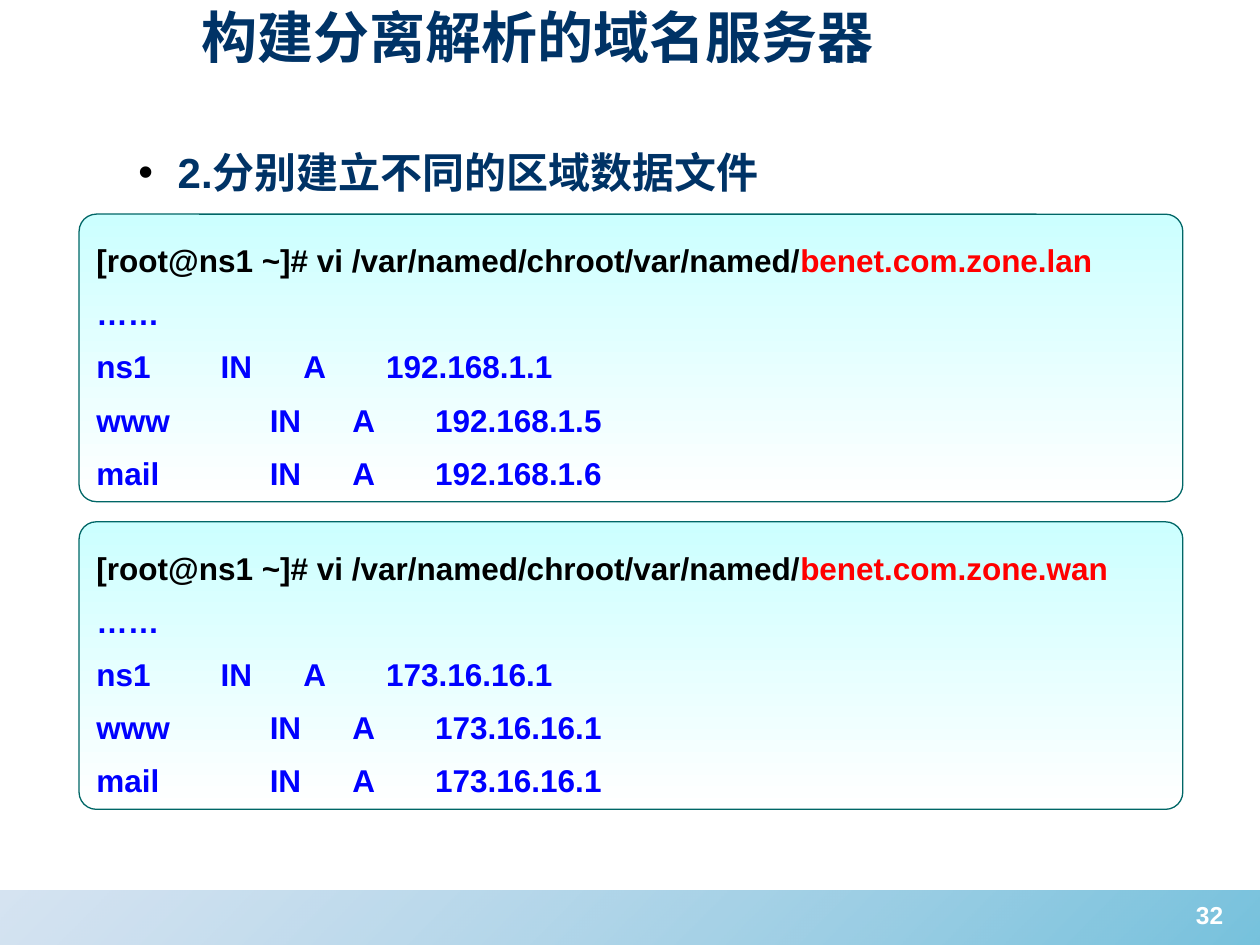
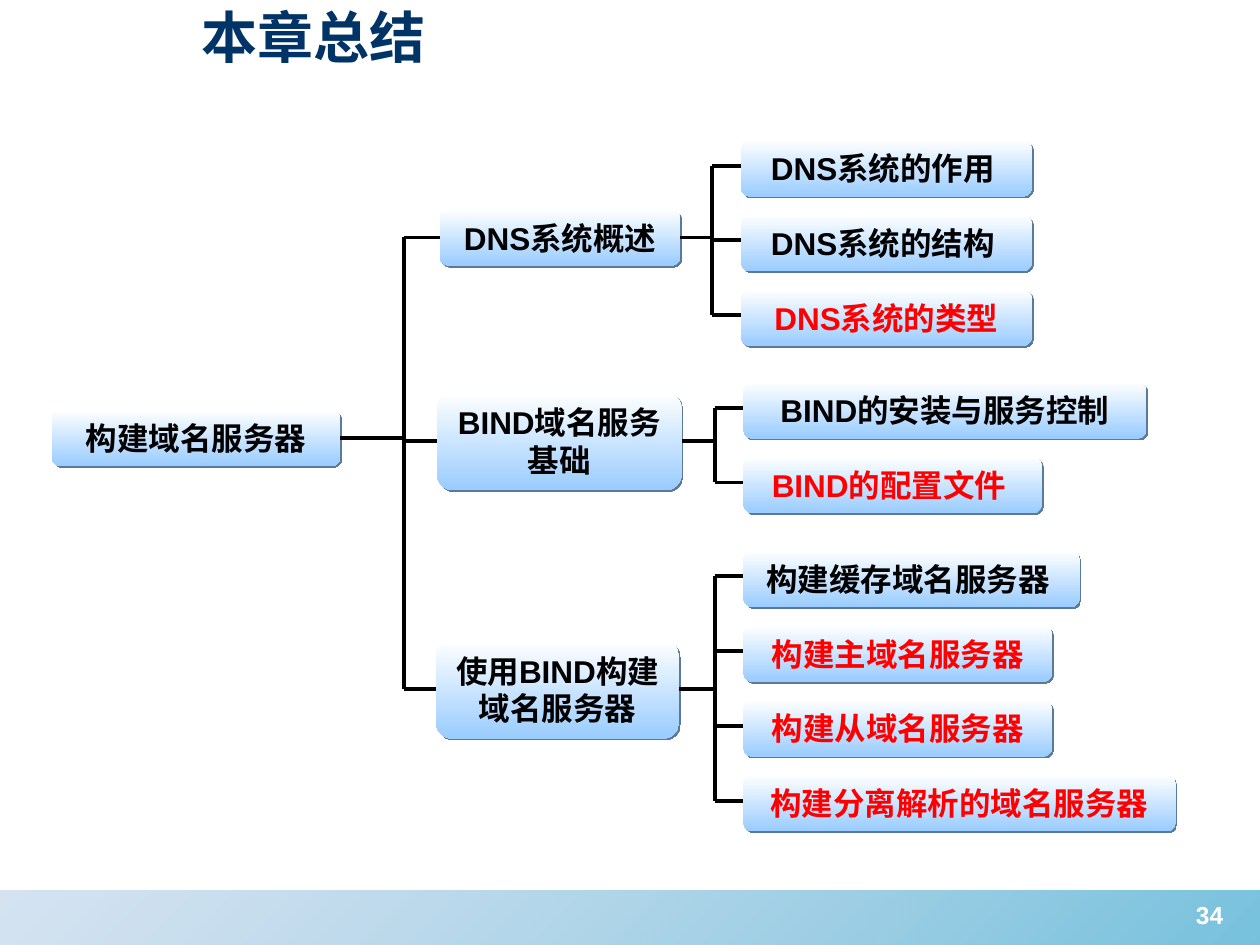
"""Build two slides on split-view DNS: the zone files and the chapter summary."""
from dataclasses import dataclass

from lxml.etree import SubElement
from pptx import Presentation
from pptx.dml.color import RGBColor
from pptx.enum.shapes import MSO_CONNECTOR, MSO_SHAPE
from pptx.enum.text import MSO_ANCHOR, MSO_AUTO_SIZE, PP_ALIGN
from pptx.oxml.ns import qn
from pptx.util import Pt


@dataclass(frozen=True)
class Theme:
    font: str = "Arial"
    navy: str = "003366"
    black: str = "000000"
    white: str = "FFFFFF"
    red: str = "FF0000"
    blue: str = "0000FF"
    panel_top: str = "CCFFFF"
    panel_line: str = "006666"
    node_bottom: str = "99CCFF"
    node_shadow: str = "5B7998"
    text_shadow: str = "C0C0C0"
    band_right: str = "1C99C6"
    band_left: str = "88B0D8"
    title_size: int = 32
    heading_size: int = 24
    body_size: int = 18
    number_size: int = 14


THEME = Theme()

ZONE_TITLE = "构建分离解析的域名服务器"
ZONE_HEADING = "2.分别建立不同的区域数据文件"
ZONE_COMMAND = "[root@ns1 ~]# vi /var/named/chroot/var/named/"
ZONE_HOSTS = ["ns1        ", "www     \t", "mail      \t"]
ZONE_FILES = [
    ("benet.com.zone.lan", ["192.168.1.1", "192.168.1.5", "192.168.1.6"]),
    ("benet.com.zone.wan", ["173.16.16.1", "173.16.16.1", "173.16.16.1"]),
]

SUMMARY_TITLE = "本章总结"
ROOT = ("构建域名服务器", (29.5, 234, 165, 32.4))
BRANCHES = [
    {"label": "DNS系统概述", "box": (251.3, 119.5, 137.5, 32.4), "corner": (423.4, 79.9),
     "leaves": [("DNS系统的作用 ", 166.3, THEME.black),
                ("DNS系统的结构 ", 166.3, THEME.black),
                ("DNS系统的类型", 166.3, THEME.red)]},
    {"label": "BIND域名服务基础", "box": (249.8, 224, 139.7, 56.2), "corner": (424.8, 218.2),
     "leaves": [("BIND的安装与服务控制", 230.4, THEME.black),
                ("BIND的配置文件 ", 170.6, THEME.red)]},
    {"label": "使用BIND构建域名服务器", "box": (249.1, 365.8, 139, 56.2), "corner": (424.8, 314.6),
     "leaves": [("构建缓存域名服务器 ", 192.2, THEME.black),
                ("构建主域名服务器", 176.4, THEME.red),
                ("构建从域名服务器", 176.4, THEME.red),
                ("构建分离解析的域名服务器", 247, THEME.red)]},
]
LEAF_HEIGHT = 32.4
LEAF_PITCH = 42.7
LEAF_JOINT = 14.8
SPINE_GAP = 16.4
TRUNK_X = 231


def rgb(color):
    """Turn a hex string into a colour."""
    return RGBColor.from_string(color)


def points(*lengths):
    """Turn numbers into point lengths."""
    return [Pt(length) for length in lengths]


def style(span, size, color):
    """Format one run in the bold theme font."""
    span.font.name = THEME.font
    span.font.size = Pt(size)
    span.font.bold = True
    span.font.color.rgb = rgb(color)


def add_span(para, text, size, color):
    """Append a formatted run."""
    span = para.add_run()
    span.text = text
    style(span, size, color)
    return span


def hang(para, margin, indent):
    """Give a paragraph a hanging indent and return its properties."""
    properties = para._p.get_or_add_pPr()
    properties.set("marL", str(Pt(margin)))
    properties.set("indent", str(Pt(indent)))
    return properties


def add_shadow(effects, color, distance):
    """Add a hard shadow falling to the lower right."""
    shadow = SubElement(effects, qn("a:outerShdw"), blurRad="0", dist=str(Pt(distance)),
                        dir="2700000", algn="ctr", rotWithShape="0")
    SubElement(shadow, qn("a:srgbClr"), val=color)


def add_filled(page, kind, box, colors, angle):
    """Add a borderless preset shape with a two-colour gradient."""
    shape = page.shapes.add_shape(kind, *points(*box))
    shape.shadow.inherit = False
    shape.line.fill.background()
    shape.fill.gradient()
    shape.fill.gradient_angle = angle
    for stop, color in zip(shape.fill.gradient_stops, colors):
        stop.color.rgb = rgb(color)
    return shape


def add_band(page, layout):
    """Build the footer band and hand it to the layout."""
    band = add_filled(page, MSO_SHAPE.RECTANGLE, (0, 509, 720, 31),
                      (THEME.band_right, THEME.band_left), 135)
    for color, alpha in zip(band._element.spPr.iter(qn("a:srgbClr")), (60000, 35000)):
        SubElement(color, qn("a:alpha"), val=str(alpha))
    layout.shapes._spTree.insert(2, band._element)


def add_page(deck, layout, title, number):
    """Add a slide with its title and page number."""
    page = deck.slides.add_slide(layout)
    heading = page.shapes.title
    heading.left, heading.top, heading.width, heading.height = points(108, -2.2, 581, 46)
    frame = heading.text_frame
    frame.text = title
    frame.auto_size = MSO_AUTO_SIZE.NONE
    frame.vertical_anchor = MSO_ANCHOR.MIDDLE
    frame.paragraphs[0].alignment = PP_ALIGN.LEFT
    style(frame.paragraphs[0].runs[0], THEME.title_size, THEME.navy)

    box = page.shapes.add_textbox(*points(665.3, 510.5, 51.8, 37.4))
    box.text_frame.word_wrap = True
    para = box.text_frame.paragraphs[0]
    para.alignment = PP_ALIGN.CENTER
    add_span(para, str(number), THEME.number_size, THEME.white)
    return page


def add_heading(page, text):
    """Add the bulleted heading with shadowed text."""
    box = page.shapes.add_textbox(*points(36, 74.2, 648, 400))
    box.text_frame.word_wrap = True
    box.text_frame.margin_top = Pt(9.6)
    para = box.text_frame.paragraphs[0]
    properties = hang(para, 58.5, -22.5)
    bullet_color = SubElement(properties, qn("a:buClr"))
    SubElement(bullet_color, qn("a:srgbClr"), val=THEME.black)
    SubElement(properties, qn("a:buFont"), typeface=THEME.font)
    SubElement(properties, qn("a:buChar"), char="•")
    span = add_span(para, text, THEME.heading_size, THEME.navy)
    fill = span._r.get_or_add_rPr().find(qn("a:solidFill"))
    effects = SubElement(fill.getparent(), qn("a:effectLst"))
    add_shadow(effects, THEME.text_shadow, 2)
    fill.addnext(effects)


def add_zone_panel(page, top, file_name, addresses):
    """Add one panel with the edit command and its zone records."""
    panel = add_filled(page, MSO_SHAPE.ROUNDED_RECTANGLE, (45.2, top, 630.7, 164.3),
                       (THEME.panel_top, THEME.white), 270)
    panel.adjustments[0] = 0.06
    panel.line.color.rgb = rgb(THEME.panel_line)
    panel.line.width = Pt(0.75)
    frame = panel.text_frame
    frame.word_wrap = True
    frame.vertical_anchor = MSO_ANCHOR.TOP
    frame.margin_top = Pt(8.1)

    records = [f"{host}IN      A       {address}" for host, address in zip(ZONE_HOSTS, addresses)]
    lines = [[(ZONE_COMMAND, THEME.black), (file_name, THEME.red)]]
    lines += [[(text, THEME.blue)] for text in ["……", *records]]
    for index, line in enumerate(lines):
        para = frame.add_paragraph() if index else frame.paragraphs[0]
        para.alignment = PP_ALIGN.LEFT
        para.line_spacing = 1.2
        if index:
            para.space_before = Pt(4.5)
        tabs = SubElement(hang(para, 27, -27), qn("a:tabLst"))
        for inch in range(1, 8):
            SubElement(tabs, qn("a:tab"), pos=str(Pt(72 * inch)), algn="l")
        for text, color in line:
            add_span(para, text, THEME.body_size, color)


def add_node(page, label, box, color=THEME.black):
    """Add one box of the summary tree."""
    node = add_filled(page, MSO_SHAPE.ROUNDED_RECTANGLE, box,
                      (THEME.white, THEME.node_bottom), 270)
    add_shadow(node._element.spPr.find(qn("a:effectLst")), THEME.node_shadow, 1.4)
    frame = node.text_frame
    frame.word_wrap = True
    frame.vertical_anchor = MSO_ANCHOR.MIDDLE
    frame.paragraphs[0].alignment = PP_ALIGN.CENTER
    add_span(frame.paragraphs[0], label, THEME.body_size, color)


def add_line(page, *ends):
    """Add a black tree line."""
    line = page.shapes.add_connector(MSO_CONNECTOR.STRAIGHT, *points(*ends))
    line.line.color.rgb = rgb(THEME.black)
    line.line.width = Pt(2.25)
    SubElement(line._element.spPr, qn("a:effectLst"))


def middle(box):
    """Return the vertical centre of a box."""
    return box[1] + box[3] / 2


def add_branch(page, branch):
    """Add a branch box, its leaves and the lines that join them."""
    box = branch["box"]
    left, top = branch["corner"]
    spine = left - SPINE_GAP
    add_node(page, branch["label"], box)
    add_line(page, TRUNK_X, middle(box), box[0], middle(box))
    add_line(page, box[0] + box[2], middle(box), spine, middle(box))
    for index, (label, width, color) in enumerate(branch["leaves"]):
        leaf_top = top + index * LEAF_PITCH
        joint = leaf_top + LEAF_JOINT
        add_node(page, label, (left, leaf_top, width, LEAF_HEIGHT), color)
        add_line(page, spine, joint, left, joint)
    add_line(page, spine, top + LEAF_JOINT, spine, joint)


def add_tree(page):
    """Add the whole summary tree."""
    label, box = ROOT
    add_node(page, label, box)
    add_line(page, box[0] + box[2], middle(box), TRUNK_X, middle(box))
    add_line(page, TRUNK_X, middle(BRANCHES[0]["box"]), TRUNK_X, middle(BRANCHES[-1]["box"]))
    for branch in BRANCHES:
        add_branch(page, branch)


def main():
    """Build and save the deck."""
    deck = Presentation()
    deck.slide_width, deck.slide_height = points(720, 540)
    layout = deck.slide_layouts[5]

    page = add_page(deck, layout, ZONE_TITLE, 32)
    add_band(page, layout)
    add_heading(page, ZONE_HEADING)
    for index, (file_name, addresses) in enumerate(ZONE_FILES):
        add_zone_panel(page, 122.4 + index * 175.8, file_name, addresses)

    add_tree(add_page(deck, layout, SUMMARY_TITLE, 34))
    deck.save("out.pptx")


if __name__ == "__main__":
    main()
